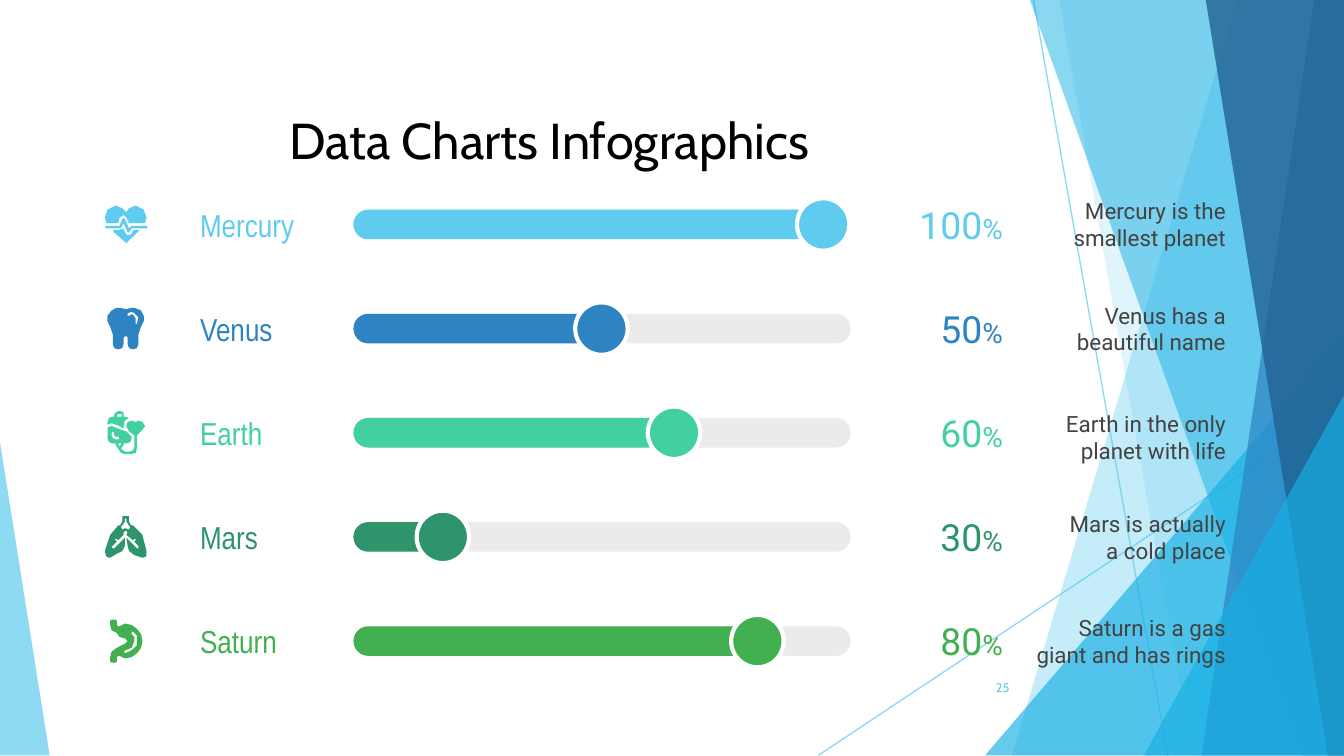
from pptx import Presentation
from pptx.dml.color import RGBColor
from pptx.enum.shapes import MSO_CONNECTOR as Link, MSO_SHAPE as Kind
from pptx.enum.text import MSO_ANCHOR as Anchor, PP_ALIGN as Align
from pptx.oxml.ns import qn
from pptx.oxml.xmlchemy import OxmlElement
from pptx.util import Inches, Pt

SKY = RGBColor(0x5F, 0xCB, 0xEF)
CYAN = RGBColor(0x17, 0xB0, 0xE4)
BLUE = RGBColor(0x2E, 0x83, 0xC3)
NAVY = RGBColor(0x22, 0x62, 0x92)
MINT = RGBColor(0x42, 0xD0, 0xA2)
TEAL = RGBColor(0x2E, 0x94, 0x6B)
GREEN = RGBColor(0x42, 0xB0, 0x51)
TRACK = RGBColor(0xEB, 0xEB, 0xEB)
GREY = RGBColor(0x43, 0x43, 0x43)
BLACK = RGBColor(0, 0, 0)
WHITE = RGBColor(0xFF, 0xFF, 0xFF)

TOP, BOTTOM = 1.56, 4.66
BAR_X, BAR_W, BAR_H, KNOB = 2.63, 3.7, 0.22, 0.39

# name, percent, colour, fill width, knob left, note, note top offset
ROWS = [
    ("Mercury", 100, SKY, 3.53, 5.93, "Mercury is the smallest planet", -0.19),
    ("Venus", 50, BLUE, 1.86, 4.28, "Venus has a beautiful name", -0.19),
    ("Earth", 60, MINT, 2.36, 4.82, "Earth in the only planet with life", -0.16),
    ("Mars", 30, TEAL, 0.74, 3.1, "Mars is actually\va cold place", -0.19),
    ("Saturn", 80, GREEN, 3.12, 5.44, "Saturn is a gas giant and has rings", -0.19),
]
STEP = (BOTTOM - TOP) / (len(ROWS) - 1)

# Outlines hold x,y points in hundredths of an inch, one string per contour.
FACETS = [
    ("921,-1 1000,-1 1000,562 753,562", SKY, 36),
    ("788,-1 1000,-1 1000,562 887,562", SKY, 20),
    ("766,-1 1000,-1 1000,562 968,562", CYAN, 50),
    ("978,-1 1000,-1 1000,562 894,562", BLUE, 70),
    ("897,-1 1000,-1 1000,562 988,562", NAVY, 80),
]
HEART = [
    ["92,162 91,163 89,168 79,168 78,169 79,170 90,170 92,166 95,173 96,173 "
     "98,170 109,170 110,169 109,168 98,168 96,170 93,163"],
    ["86,153 80,156 78,162 79,166 88,166 89,162 92,160 94,162 96,166 108,166 "
     "109,162 107,156 101,153 96,155 94,158 91,155"],
    ["92,170 89,171 84,171 85,173 93,180 94,181 95,180 102,173 104,171 99,171 "
     "98,174 96,175 95,175 93,173"],
]
TOOTH = [
    ["98,232 100,233 103,236 102,241 101,241 101,237 99,234 98,234 96,235 "
     "95,235 95,233",
     "89,229 87,229 83,231 80,235 80,239 82,243 83,246 84,249 84,256 85,259 "
     "88,260 91,259 92,256 92,251 94,250 95,251 95,256 96,259 99,260 102,259 "
     "103,256 103,249 104,246 105,243 107,239 107,235 105,231 100,229 98,229 "
     "94,230"],
]
BLOOD = [
    ["84,321 85,322 85,324 86,325 88,325 89,326 88,327 86,327 84,326 83,324 "
     "83,322",
     "90,330 90,331 89,332 88,331 88,330",
     "98,313 95,314 94,317 96,321 100,324 100,333 99,335 97,336 93,336 90,334 "
     "92,331 92,330 94,330 97,329 98,326 98,325 95,322 94,321 88,319 83,317 "
     "80,318 80,326 81,329 84,330 86,330 86,331 88,334 90,337 93,338 97,338 "
     "101,337 102,333 102,324 105,321 108,317 106,314 103,313 101,314"],
    ["90,308 91,309 91,310 87,310 87,309 88,308",
     "88,306 86,307 85,309 85,310 84,310 81,311 80,315 80,316 83,315 89,317 "
     "92,319 92,317 93,313 96,311 93,310 92,310 92,307 90,306"],
]
LUNGS = [
    ["94,386 94,388 96,391 97,392 96,394 93,393 91,394 90,392 91,391 93,388 "
     "93,386",
     "92,384 91,384 91,388 90,390 89,391 88,391 82,398 78,410 79,414 81,415 "
     "82,415 87,412 91,410 93,406 93,400 89,404 85,408 84,408 83,407 84,406 "
     "87,403 86,402 85,401 87,401 88,402 92,398 92,396 93,395 94,395 95,396 "
     "94,398 99,402 100,401 101,401 101,402 100,403 103,406 103,408 102,408 "
     "94,400 95,406 96,410 100,413 106,415 109,414 109,410 106,398 99,391 "
     "98,391 97,390 96,388 96,384"],
]
STOMACH = [
    ["99,470 102,473 102,480 99,483 96,485 93,486 92,485 93,484 98,482 100,477 "
     "100,474 98,472 98,470",
     "83,461 82,462 82,465 83,469 87,471 89,474 93,475 95,477 93,479 87,482 "
     "83,485 82,489 82,492 83,493 86,493 87,492 87,489 88,488 89,488 93,490 "
     "98,489 102,486 105,482 106,477 105,472 102,468 98,465 93,464 89,466 "
     "88,466 87,465 87,462 86,461"],
]
ICONS = [HEART, TOOTH, BLOOD, LUNGS, STOMACH]


def fade(shape, alpha):
    """Set the opacity, in percent, of the shape's colour."""
    for clr in shape.element.iter(qn("a:srgbClr")):
        node = OxmlElement("a:alpha")
        node.set("val", str(alpha * 1000))
        clr.append(node)


def paint(shape, color, alpha=100):
    shape.shadow.inherit = False
    shape.fill.solid()
    shape.fill.fore_color.rgb = color
    shape.line.fill.background()
    if alpha < 100:
        fade(shape, alpha)


def add_line(slide, x1, y1, x2, y2):
    line = slide.shapes.add_connector(
        Link.STRAIGHT, Inches(x1), Inches(y1), Inches(x2), Inches(y2))
    line.line.color.rgb = SKY
    line.line.width = Pt(0.75)
    line.element.spPr.append(OxmlElement("a:effectLst"))
    fade(line, 70)


def add_form(slide, parts, color, alpha=100):
    """Draw closed contours as one outline."""
    loops = [[tuple(map(int, dot.split(","))) for dot in part.split()]
             for part in parts]
    pen = slide.shapes.build_freeform(*loops[0][0], scale=Inches(0.01))
    for num, loop in enumerate(loops):
        if num:
            pen.move_to(*loop[0])
        pen.add_line_segments(loop[1:], close=True)
    paint(pen.convert_to_shape(), color, alpha)


def add_preset(slide, kind, x, y, w, h, color, adj=None, alpha=100):
    shape = slide.shapes.add_shape(
        kind, Inches(x), Inches(y), Inches(w), Inches(h))
    if adj is not None:
        shape.adjustments[0] = adj
    paint(shape, color, alpha)
    return shape


def add_text(slide, x, y, w, h, runs, font, color, align, anchor=Anchor.MIDDLE):
    """Add one paragraph made of (text, size) runs."""
    frame = slide.shapes.add_textbox(
        Inches(x), Inches(y), Inches(w), Inches(h)).text_frame
    frame.word_wrap = True
    frame.vertical_anchor = anchor
    frame.margin_left = frame.margin_right = Inches(0.1)
    frame.margin_top = frame.margin_bottom = Inches(0.1)
    para = frame.paragraphs[0]
    para.alignment = align
    for text, size in runs:
        start = len(para.runs)
        if start:
            para.add_run().text = text
        else:
            para.text = text
        for run in para.runs[start:]:
            run.font.size = Pt(size)
            run.font.name = font
            run.font.color.rgb = color


def add_backdrop(slide):
    add_line(slide, 7.69, 0, 8.69, 5.63)
    add_line(slide, 10, 3.02, 6.09, 5.62)
    for part, color, alpha in FACETS[:2]:
        add_form(slide, [part], color, alpha)
    tri = Kind.ISOSCELES_TRIANGLE
    add_preset(slide, tri, 7.33, 2.5, 2.67, 3.12, CYAN, 1, 66)
    for part, color, alpha in FACETS[2:]:
        add_form(slide, [part], color, alpha)
    add_preset(slide, tri, 8.51, 2.94, 1.49, 2.68, CYAN, 1, 66)
    add_preset(slide, tri, 0, 3.29, 0.37, 2.33, SKY, 0, 70)


def add_row(slide, y, row, icon):
    name, rate, color, width, knob_x, note, shift = row
    for parts in icon:
        add_form(slide, parts, color)
    bar = Kind.ROUNDED_RECTANGLE
    add_preset(slide, bar, BAR_X, y, BAR_W, BAR_H, TRACK, 0.5)
    add_preset(slide, bar, BAR_X, y, width, BAR_H, color, 0.5)
    knob = add_preset(slide, Kind.OVAL, knob_x, y + (BAR_H - KNOB) / 2,
                      KNOB, KNOB, color)
    knob.line.color.rgb = WHITE
    knob.line.width = Pt(2.25)
    add_text(slide, 1.39, y - 0.07, 1.05, 0.36, [(name, 17)],
             "Arial Narrow", color, Align.LEFT)
    add_text(slide, 6.51, y - 0.07, 1.05, 0.36, [(str(rate), 20), ("%", 15)],
             "Roboto", color, Align.RIGHT)
    add_text(slide, 7.56, y + shift, 1.66, 0.6, [(note, 12)],
             "Roboto", GREY, Align.RIGHT)


def main():
    deck = Presentation()
    deck.slide_width = Inches(10)
    deck.slide_height = deck.slide_width * 9 // 16
    slide = deck.slides.add_slide(deck.slide_layouts[6])
    add_backdrop(slide)
    add_text(slide, 0.56, 0.5, 7.05, 1.08, [("Data Charts Infographics", 27)],
             "Cabin", BLACK, Align.CENTER)
    add_text(slide, 7.05, 5, 0.56, 0.3, [("25", 6.8)],
             "Cabin", SKY, Align.RIGHT, Anchor.TOP)
    for num, (row, icon) in enumerate(zip(ROWS, ICONS)):
        add_row(slide, TOP + num * STEP, row, icon)
    deck.save("out.pptx")


if __name__ == "__main__":
    main()
